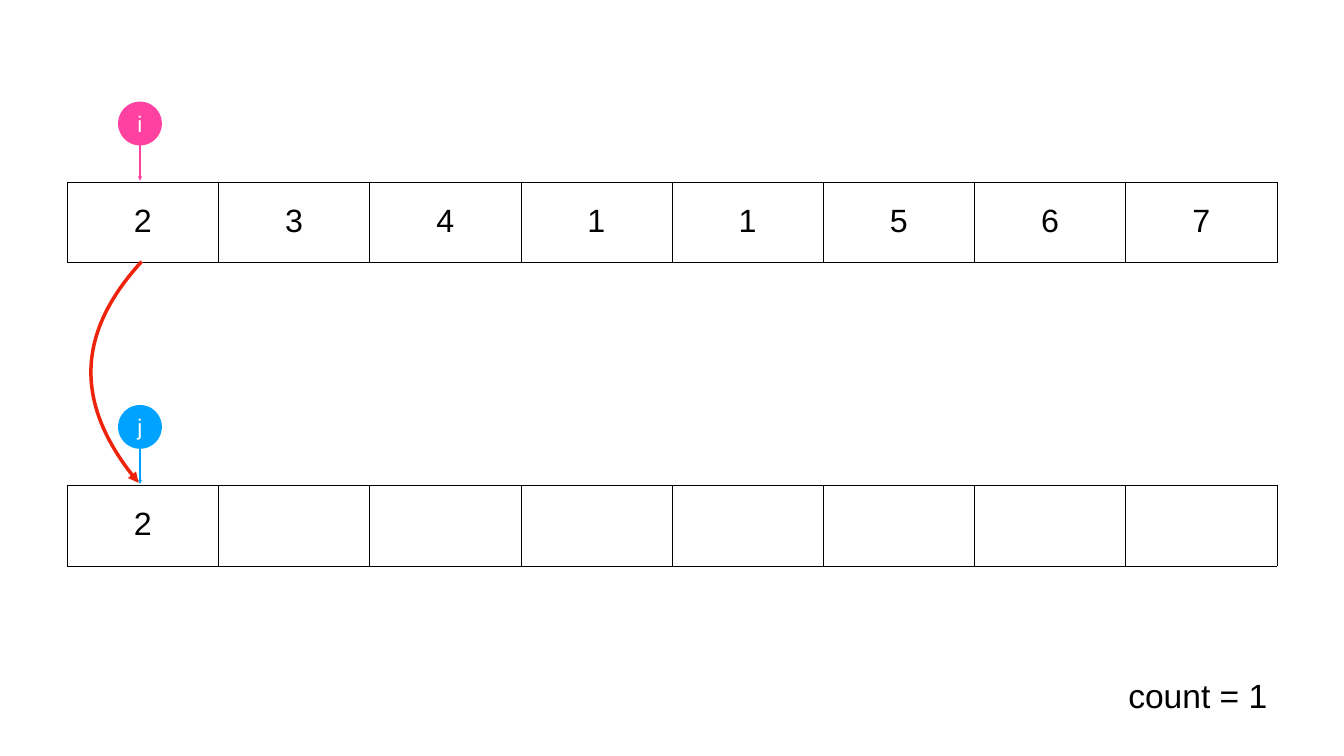
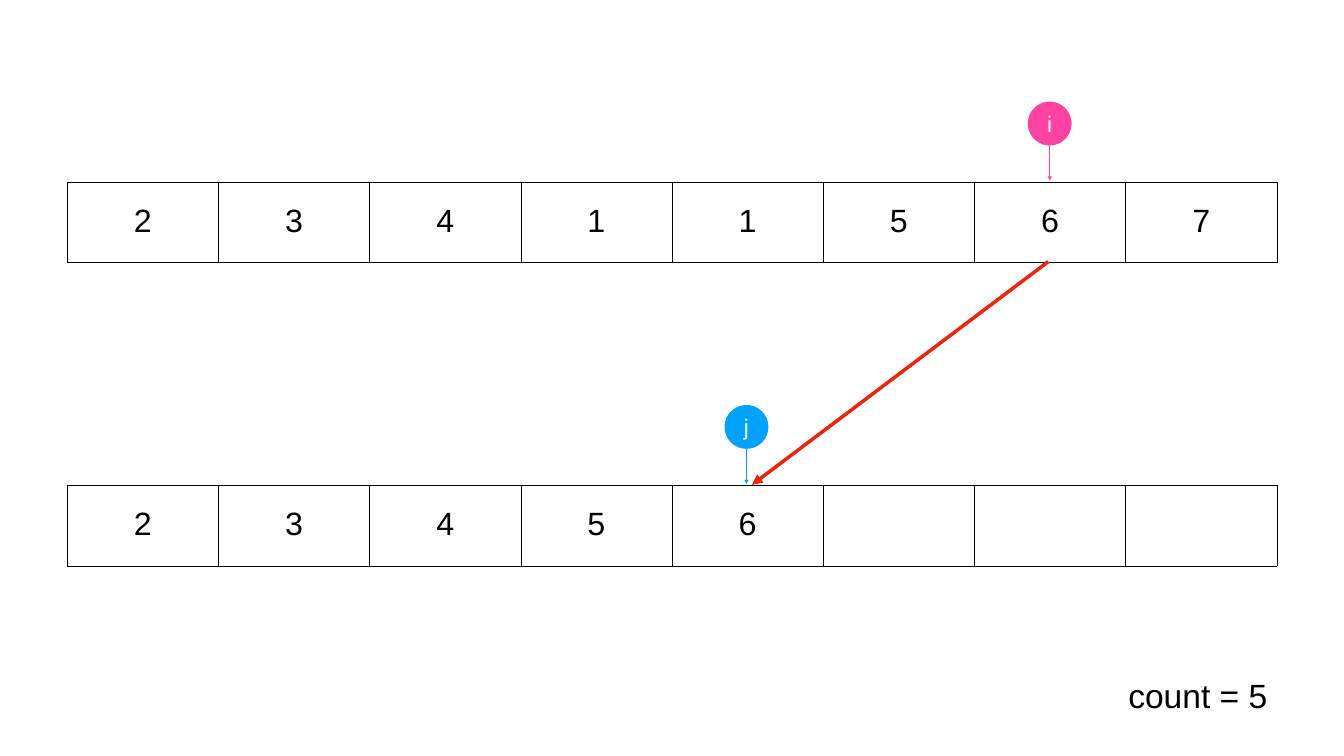
from dataclasses import dataclass
from typing import Optional, Sequence

from lxml import etree
from pptx import Presentation
from pptx import util as u
from pptx.dml.color import RGBColor
from pptx.enum import shapes, text
from pptx.oxml import ns

# Shared look
FONT = "Arial"
BLACK, WHITE = "000000", "FFFFFF"
PINK, BLUE, RED = "FF42A1", "00A2FF", "EE230C"
INSET = 4

# Shared layout, in points
SLIDE_WIDTH, SLIDE_HEIGHT = 1920, 1080
ROW_LEFT, CELL_WIDTH, CELL_HEIGHT = 96, 216, 115.2
SOURCE_TOP, RESULT_TOP = 260, 693.4
MARKER_CENTER, MARKER_PITCH, MARKER_SIZE = 200, 216.6, 62.6
MARKER_RISE, STEM_GAP = 114.8, 2

SOURCE = ["2", "3", "4", "1", "1", "5", "6", "7"]


@dataclass(frozen=True)
class Point:
    x: float
    y: float


@dataclass(frozen=True)
class Marker:
    label: str
    index: int
    row_top: float
    color: str


@dataclass(frozen=True)
class CopyArrow:
    start: Point
    end: Point
    controls: Optional[tuple[Point, Point]] = None


@dataclass(frozen=True)
class Step:
    i: int
    j: int
    result: Sequence[str]
    arrow: CopyArrow


STEPS = [
    Step(0, 0, ["2"],
         CopyArrow(Point(202.3, 373.7), Point(198, 689.8),
                   (Point(108.7, 475.9), Point(107.3, 581.8)))),
    Step(6, 4, ["2", "3", "4", "5", "6"],
         CopyArrow(Point(1497.6, 373.7), Point(1074.2, 692.6))),
]


def rgb(color: str) -> RGBColor:
    return RGBColor.from_string(color)


def add_child(parent, tag: str, **attributes: str):
    child = etree.SubElement(parent, ns.qn(tag))
    for name, value in attributes.items():
        child.set(name, value)
    return child


def set_insets(target) -> None:
    target.margin_left = target.margin_right = u.Pt(INSET)
    target.margin_top = target.margin_bottom = u.Pt(INSET)
    target.vertical_anchor = text.MSO_ANCHOR.MIDDLE


def write(para, words: str, size: float, color: str) -> None:
    span = para.add_run()
    span.text = words
    span.font.name = FONT
    span.font.size = u.Pt(size)
    span.font.color.rgb = rgb(color)


def space_body(para) -> None:
    para.line_spacing = 0.9
    para.space_before = u.Pt(45)


def border_cell(cell) -> None:
    properties = cell._tc.get_or_add_tcPr()
    for side in ("a:lnL", "a:lnR", "a:lnT", "a:lnB"):
        line = add_child(properties, side, w=str(u.Pt(1)))
        add_child(add_child(line, "a:solidFill"), "a:srgbClr", val=BLACK)


def add_array(page, top: float, values: Sequence[str]) -> None:
    count = len(SOURCE)
    frame = page.shapes.add_table(1, count, u.Pt(ROW_LEFT), u.Pt(top),
                                  u.Pt(count * CELL_WIDTH), u.Pt(CELL_HEIGHT))
    table = frame.table
    table.first_row = table.horz_banding = False
    for cell in table.iter_cells():
        set_insets(cell)
        border_cell(cell)
        cell.fill.background()
    for column, value in enumerate(values):
        para = table.cell(0, column).text_frame.paragraphs[0]
        para.alignment = text.PP_ALIGN.CENTER
        space_body(para)
        write(para, value, 46, BLACK)


def style_arrow(shape, color: str, width: float) -> None:
    shape.line.color.rgb = rgb(color)
    shape.line.width = u.Pt(width)
    add_child(shape.element.spPr.get_or_add_ln(), "a:tailEnd", type="triangle")
    add_child(shape.element.spPr, "a:effectLst")


def add_straight_arrow(page, start: Point, end: Point, color: str, width: float) -> None:
    arrow = page.shapes.add_connector(shapes.MSO_CONNECTOR.STRAIGHT,
                                      u.Pt(start.x), u.Pt(start.y), u.Pt(end.x), u.Pt(end.y))
    style_arrow(arrow, color, width)


def add_curved_arrow(page, arrow: CopyArrow, color: str, width: float) -> None:
    first, second = arrow.controls
    # The bend's middle sets the left edge of the outline
    middle = Point((arrow.start.x + 3 * first.x + 3 * second.x + arrow.end.x) / 8,
                   (arrow.start.y + 3 * first.y + 3 * second.y + arrow.end.y) / 8)
    builder = page.shapes.build_freeform(u.Pt(arrow.start.x), u.Pt(arrow.start.y))
    builder.add_line_segments([(u.Pt(point.x), u.Pt(point.y)) for point in (middle, arrow.end)],
                              close=False)
    curve = builder.convert_to_shape()
    # Swap the straight segments for one Bézier segment
    outline = curve.element.find(".//" + ns.qn("a:path"))
    for segment in outline.findall(ns.qn("a:lnTo")):
        outline.remove(segment)
    bend = add_child(outline, "a:cubicBezTo")
    for point in (first, second, arrow.end):
        add_child(bend, "a:pt", x=str(u.Pt(point.x) - curve.left),
                  y=str(u.Pt(point.y) - curve.top))
    curve.fill.background()
    style_arrow(curve, color, width)


def add_marker(page, marker: Marker) -> None:
    center = MARKER_CENTER + marker.index * MARKER_PITCH
    top = marker.row_top - MARKER_RISE
    disc = page.shapes.add_shape(shapes.MSO_SHAPE.OVAL, u.Pt(center - MARKER_SIZE / 2),
                                 u.Pt(top), u.Pt(MARKER_SIZE), u.Pt(MARKER_SIZE))
    disc.shadow.inherit = False
    disc.fill.solid()
    disc.fill.fore_color.rgb = rgb(marker.color)
    disc.line.fill.background()
    set_insets(disc.text_frame)
    para = disc.text_frame.paragraphs[0]
    para.alignment = text.PP_ALIGN.CENTER
    write(para, marker.label, 32, WHITE)
    add_straight_arrow(page, Point(center, top + MARKER_SIZE),
                       Point(center, marker.row_top - STEM_GAP), marker.color, 2)


def add_count(page, count: int) -> None:
    box = page.shapes.add_textbox(u.Pt(1607.8), u.Pt(961.2), u.Pt(225.4), u.Pt(69.8))
    frame = box.text_frame
    frame.word_wrap = False
    frame.auto_size = text.MSO_AUTO_SIZE.SHAPE_TO_FIT_TEXT
    set_insets(frame)
    space_body(frame.paragraphs[0])
    write(frame.paragraphs[0], f"count = {count}", 48, BLACK)


def add_step(deck, step: Step) -> None:
    page = deck.slides.add_slide(deck.slide_layouts[6])
    # Arrays
    add_array(page, SOURCE_TOP, SOURCE)
    add_array(page, RESULT_TOP, step.result)
    # Index markers
    add_marker(page, Marker("i", step.i, SOURCE_TOP, PINK))
    add_marker(page, Marker("j", step.j, RESULT_TOP, BLUE))
    # Counter and copy arrow
    add_count(page, len(step.result))
    if step.arrow.controls:
        add_curved_arrow(page, step.arrow, RED, 5)
    else:
        add_straight_arrow(page, step.arrow.start, step.arrow.end, RED, 5)


def main() -> None:
    deck = Presentation()
    deck.slide_width, deck.slide_height = u.Pt(SLIDE_WIDTH), u.Pt(SLIDE_HEIGHT)
    for step in STEPS:
        add_step(deck, step)
    deck.save("out.pptx")


if __name__ == "__main__":
    main()
